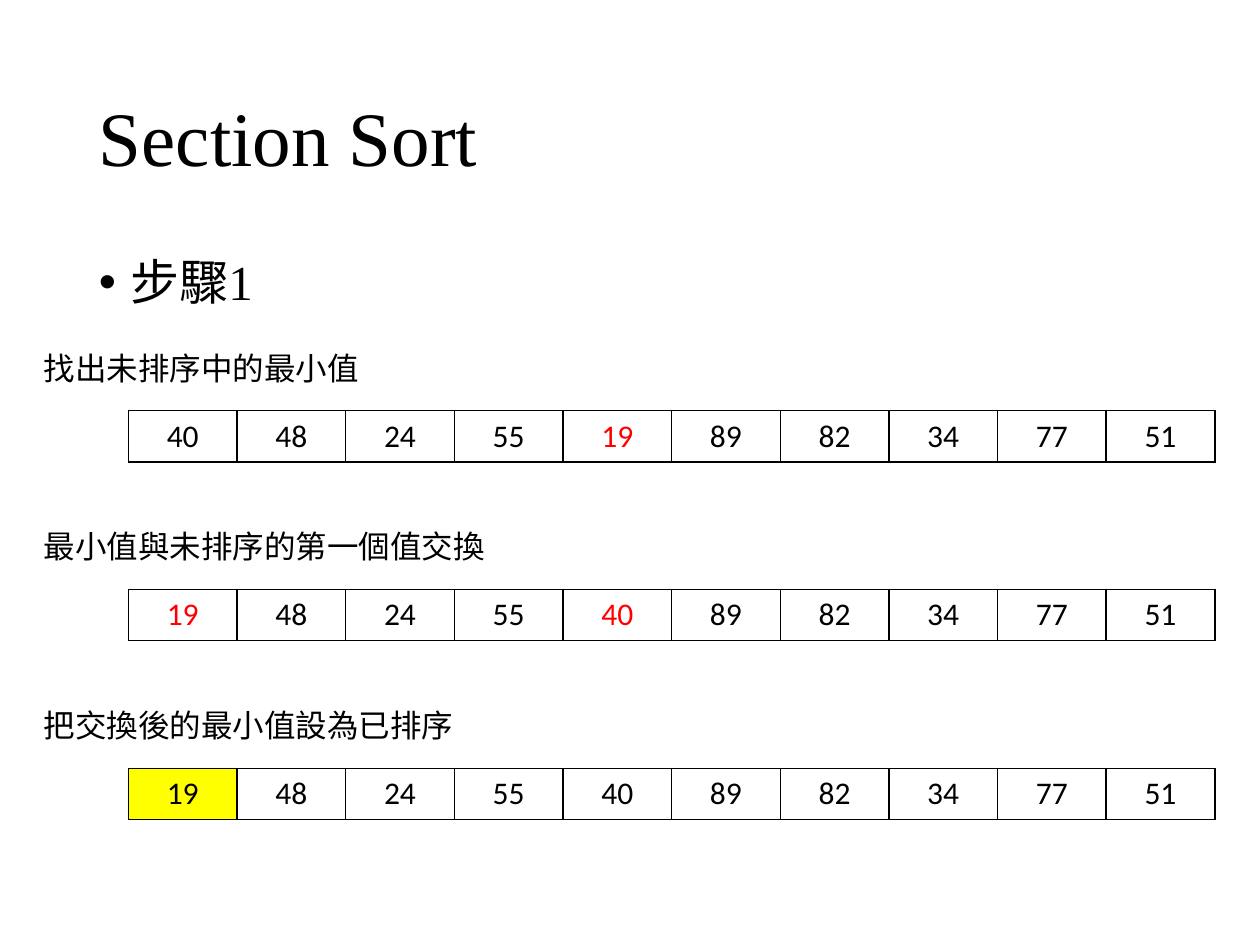
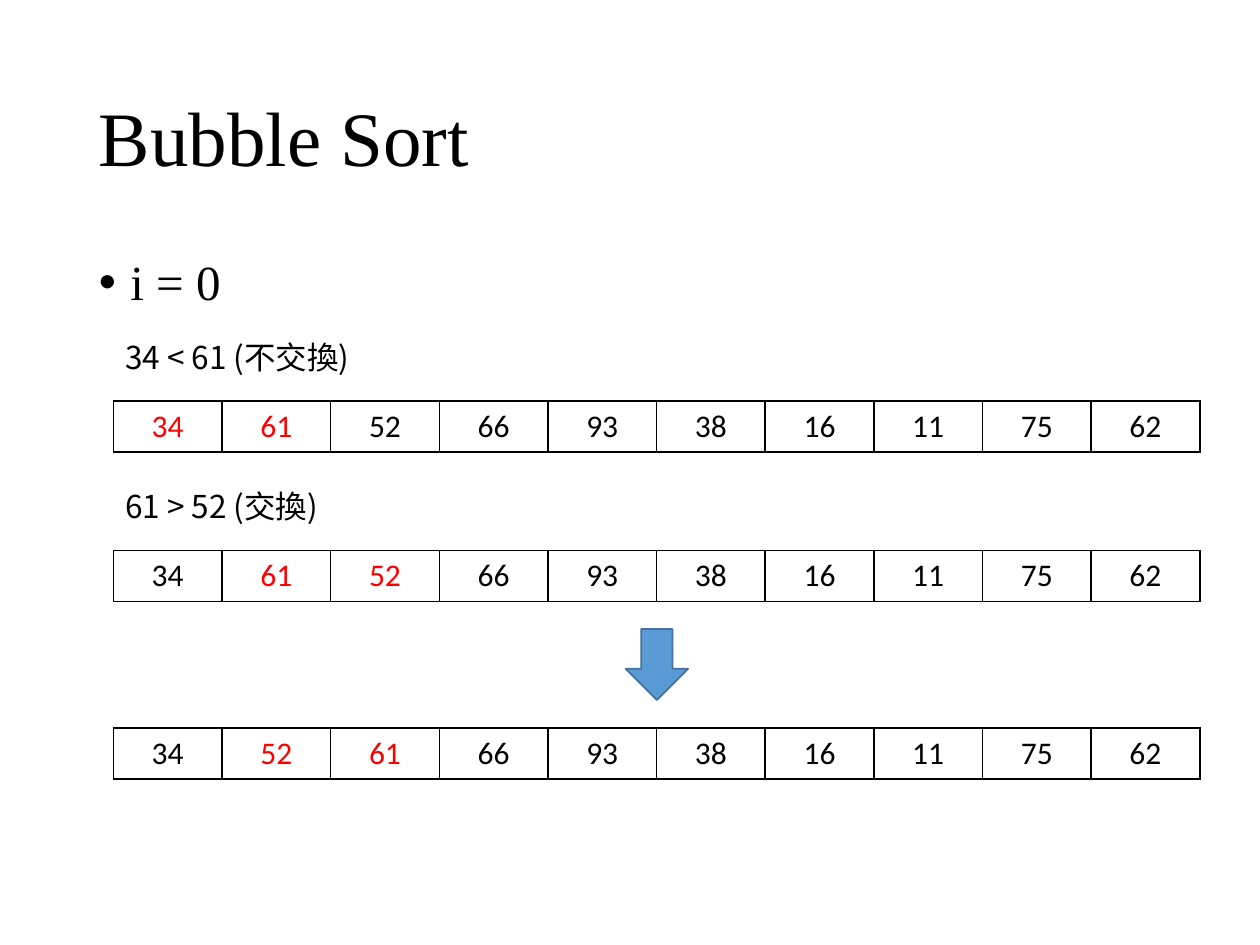
"""Build two slides that step through selection sort and bubble sort."""
from lxml.etree import SubElement
from pptx import Presentation
from pptx.dml.color import RGBColor
from pptx.enum.shapes import MSO_SHAPE
from pptx.enum.text import MSO_ANCHOR, MSO_AUTO_SIZE, PP_ALIGN
from pptx.oxml.ns import qn
from pptx.util import Pt

COLORS = {"ink": "000000", "changed": "FF0000", "sorted": "FFFF00",
          "arrow": "5B9BD5", "arrow_line": "43739E"}
CJK = "Noto Sans CJK SC"
FONTS = {"title": ("Times New Roman", 44), "body": ("Times New Roman", 28),
         "label": (CJK, 18), "cell": ("Calibri", 18)}
TITLE_BOX = (49.5, 28.75, 621, 104.4)
BODY_BOX = (49.5, 143.75, 621, 342.6)
COL_W, ROW_H, LABEL_H = 62.08, 29.2, 29.08

SLIDES = [
    {"title": "Section Sort", "body": "步驟1", "left": 73.4, "label_left": 18, "label_rise": 38.9,
     "steps": [
         {"top": 234.72, "label": "找出未排序中的最小值", "label_w": 196.56,
          "values": [40, 48, 24, 55, 19, 89, 82, 34, 77, 51], "changed": [4]},
         {"top": 336.8, "label": "最小值與未排序的第一個值交換", "label_w": 269.28,
          "values": [19, 48, 24, 55, 40, 89, 82, 34, 77, 51], "changed": [0, 4]},
         {"top": 439, "label": "把交換後的最小值設為已排序", "label_w": 250.56,
          "values": [19, 48, 24, 55, 40, 89, 82, 34, 77, 51], "sorted": [0]}]},
    {"title": "Bubble Sort", "body": "i = 0", "left": 64.8, "label_left": 64.5, "label_rise": 39.6,
     "steps": [
         {"top": 229, "label": "34 < 61 (不交換)", "label_w": 169.2,
          "values": [34, 61, 52, 66, 93, 38, 16, 11, 75, 62], "changed": [0, 1]},
         {"top": 314.5, "label": "61 > 52 (交換)", "label_w": 151.2,
          "values": [34, 61, 52, 66, 93, 38, 16, 11, 75, 62], "changed": [1, 2]},
         {"top": 416, "values": [34, 52, 61, 66, 93, 38, 16, 11, 75, 62], "changed": [1, 2]}],
     "arrow": (357.5, 359.5, 35.7, 40.5)},
]


def rgb(name):
    return RGBColor.from_string(COLORS[name])


def set_attrs(obj, **values):
    for name, value in values.items():
        setattr(obj, name, value)


def write(tf, text, style, color="ink", **para):
    p = tf.paragraphs[0]
    set_attrs(p, **para)
    r = p.add_run()
    r.text = text
    name, size = FONTS[style]
    set_attrs(r.font, name=name, size=Pt(size), bold=False)
    r.font.color.rgb = rgb(color)
    SubElement(r.font._element, qn("a:ea"), typeface=CJK)
    return p


def add_text(s, box, text, style, frame, **para):
    tf = s.shapes.add_textbox(*map(Pt, box)).text_frame
    set_attrs(tf, **frame)
    return write(tf, text, style, **para)


def add_bullet(p):
    pPr = p._p.get_or_add_pPr()
    pPr.set("marL", str(Pt(18)))
    pPr.set("indent", str(-Pt(18)))
    SubElement(pPr, qn("a:buFont"), typeface="Arial")
    SubElement(pPr, qn("a:buChar"), char="•")


def add_borders(cell):
    tcPr = cell._tc.get_or_add_tcPr()
    for i, side in enumerate(("lnL", "lnR", "lnT", "lnB")):
        ln = tcPr.makeelement(qn(f"a:{side}"), {"w": str(Pt(1))})
        fill = SubElement(ln, qn("a:solidFill"))
        SubElement(fill, qn("a:srgbClr"), val=COLORS["ink"])
        tcPr.insert(i, ln)


def add_array(s, left, step):
    values = step["values"]
    box = (left, step["top"], COL_W * len(values), ROW_H)
    table = s.shapes.add_table(1, len(values), *map(Pt, box)).table
    set_attrs(table, first_row=False, horz_banding=False)
    for i, value in enumerate(values):
        table.columns[i].width = Pt(COL_W)
        cell = table.cell(0, i)
        cell.vertical_anchor = MSO_ANCHOR.MIDDLE
        if i in step.get("sorted", []):
            cell.fill.solid()
            cell.fill.fore_color.rgb = rgb("sorted")
        else:
            cell.fill.background()
        color = "changed" if i in step.get("changed", []) else "ink"
        write(cell.text_frame, str(value), "cell", color, alignment=PP_ALIGN.CENTER)
        add_borders(cell)


def add_arrow(s, box):
    sp = s.shapes.add_shape(MSO_SHAPE.DOWN_ARROW, *map(Pt, box))
    sp.shadow.inherit = False
    sp.fill.solid()
    sp.fill.fore_color.rgb = rgb("arrow")
    sp.line.color.rgb = rgb("arrow_line")
    sp.line.width = Pt(1)


def add_slide(prs, data):
    s = prs.slides.add_slide(prs.slide_layouts[6])
    add_text(s, TITLE_BOX, data["title"], "title",
             {"word_wrap": True, "vertical_anchor": MSO_ANCHOR.MIDDLE}, line_spacing=0.9)
    add_bullet(add_text(s, BODY_BOX, data["body"], "body", {"word_wrap": True}, line_spacing=0.9))
    for step in data["steps"]:
        add_array(s, data["left"], step)
        if "label" in step:
            box = (data["label_left"], step["top"] - data["label_rise"], step["label_w"], LABEL_H)
            add_text(s, box, step["label"], "label",
                     {"word_wrap": False, "auto_size": MSO_AUTO_SIZE.SHAPE_TO_FIT_TEXT})
    if "arrow" in data:
        add_arrow(s, data["arrow"])


def main():
    prs = Presentation()
    set_attrs(prs, slide_width=Pt(720), slide_height=Pt(540))
    for data in SLIDES:
        add_slide(prs, data)
    prs.save("out.pptx")


if __name__ == "__main__":
    main()
